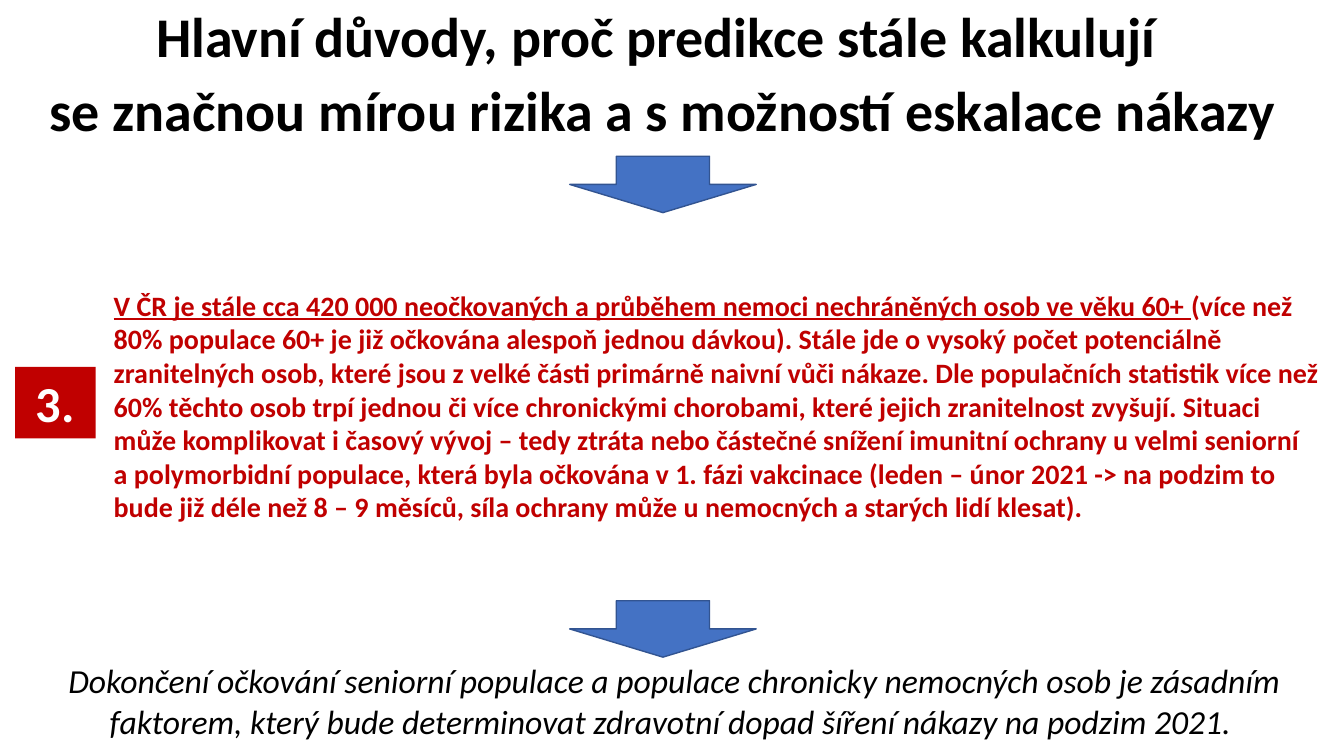
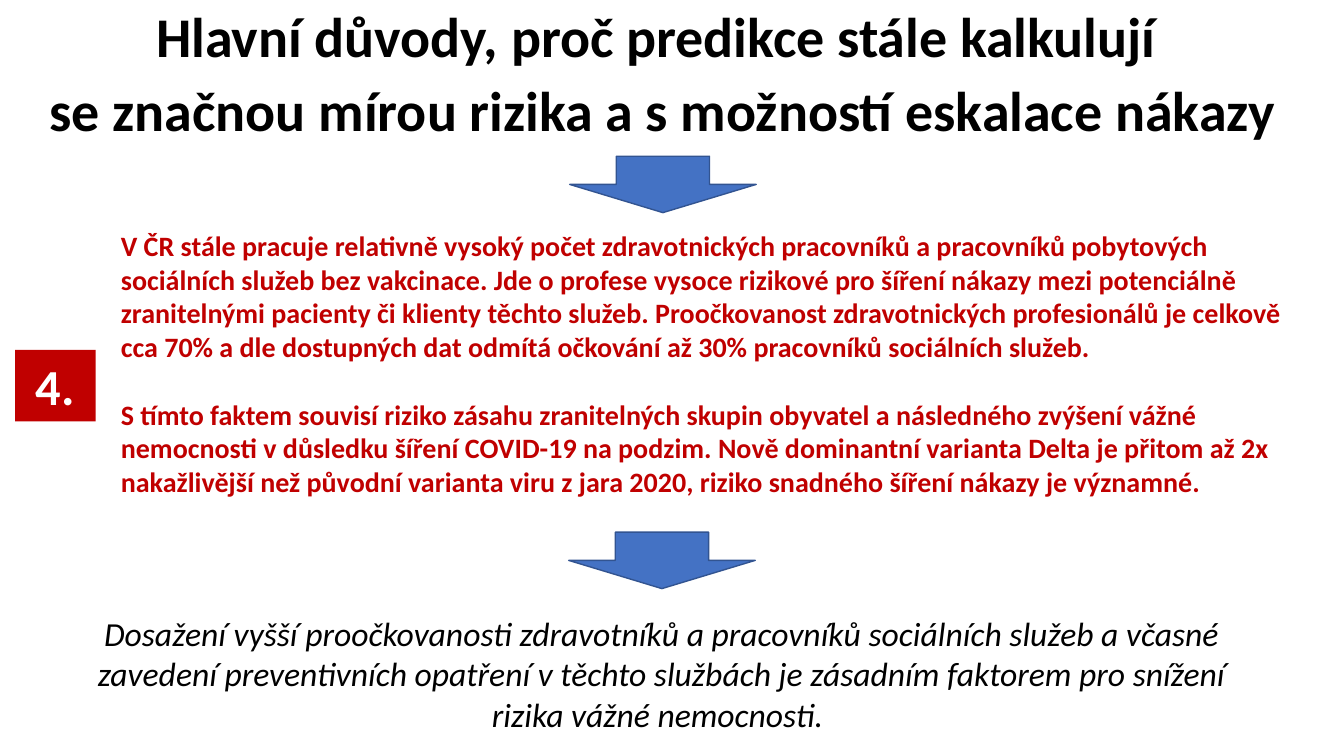
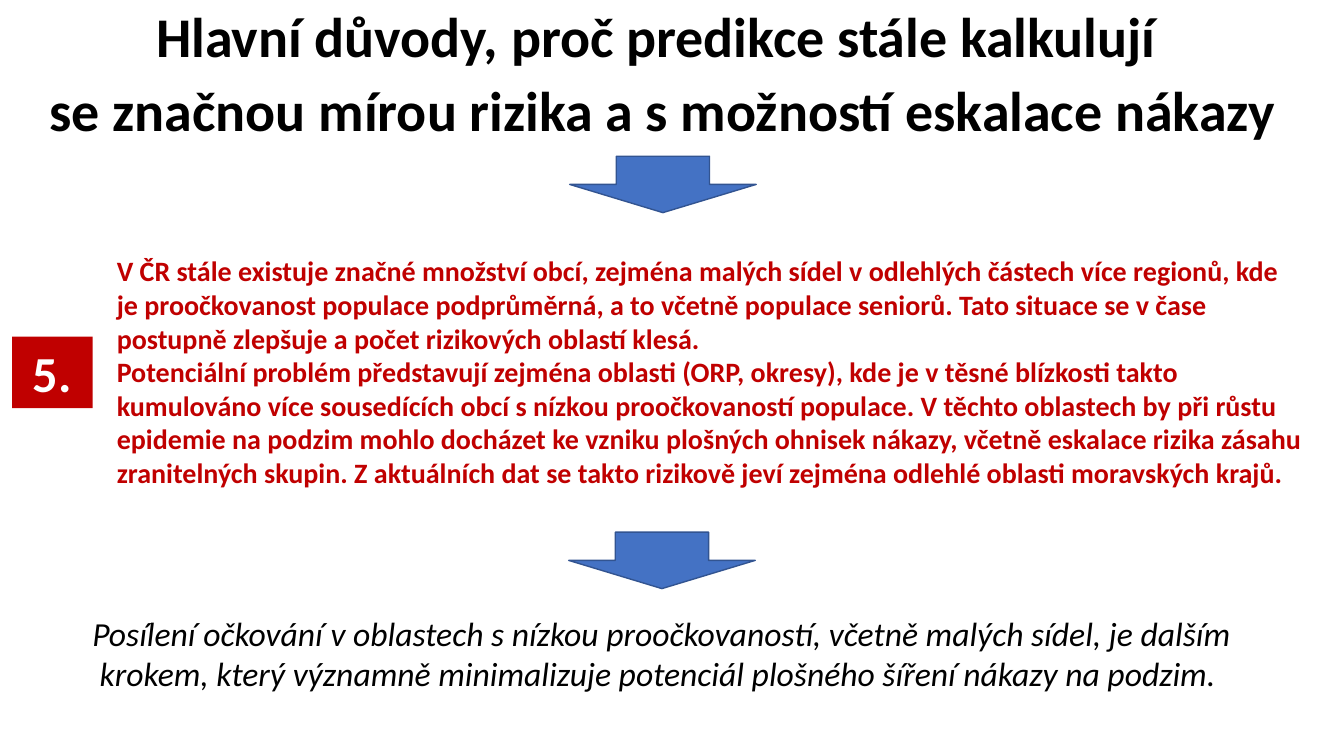
"""Three slides on the reasons why epidemic predictions still reckon with risk."""
from pptx import Presentation
from pptx.dml.color import RGBColor
from pptx.enum import shapes, text
from pptx.util import Inches, Pt

FONT = "Calibri"
RED = RGBColor(0xC0, 0x00, 0x00)
BLUE = RGBColor(0x44, 0x72, 0xC4)
DARK_BLUE = RGBColor(0x32, 0x54, 0x91)
BLACK = RGBColor(0x00, 0x00, 0x00)
WHITE = RGBColor(0xFF, 0xFF, 0xFF)

HEADING = [
    "Hlavní důvody, proč predikce stále kalkulují ",
    "se značnou mírou rizika a s možností eskalace nákazy",
]

REASONS = [
    {
        "number": "3.",
        "badge_at": (0.15, 3.64),
        "underlined": "V ČR je stále cca 420 000 neočkovaných a průběhem nemoci nechráněných osob ve věku 60+ ",
        "body": [
            "(více než 80% populace 60+ je již očkována alespoň jednou dávkou). Stále jde o vysoký počet "
            "potenciálně zranitelných osob, které jsou z velké části primárně naivní vůči nákaze. Dle "
            "populačních statistik více než 60% těchto osob trpí jednou či více chronickými chorobami, "
            "které jejich zranitelnost zvyšují. Situaci může komplikovat i časový vývoj – tedy ztráta nebo "
            "částečné snížení imunitní ochrany u velmi seniorní a polymorbidní populace, která byla "
            "očkována v 1. fázi vakcinace (leden – únor 2021 -> na podzim to bude již déle než 8 – 9 "
            "měsíců, síla ochrany může u nemocných a starých lidí klesat).",
        ],
        "body_at": (1.03, 2.81, 12.16, 2.46),
        "gap": 0,
        "arrow_at": (5.65, 5.96),
        "conclusion": "Dokončení očkování seniorní populace a populace chronicky nemocných osob je zásadním "
        "faktorem, který bude determinovat zdravotní dopad šíření nákazy na podzim 2021. ",
        "conclusion_at": (0.44, 6.5, 12.49, 0.91),
    },
    {
        "number": "4.",
        "badge_at": (0.15, 3.47),
        "underlined": "",
        "body": [
            "V ČR stále pracuje relativně vysoký počet zdravotnických pracovníků a pracovníků pobytových "
            "sociálních služeb bez vakcinace. Jde o profese vysoce rizikové pro šíření nákazy mezi "
            "potenciálně zranitelnými pacienty či klienty těchto služeb. Proočkovanost zdravotnických "
            "profesionálů je celkově cca 70% a dle dostupných dat odmítá očkování až 30% pracovníků "
            "sociálních služeb.",
            "S tímto faktem souvisí riziko zásahu zranitelných skupin obyvatel a následného zvýšení vážné "
            "nemocnosti v důsledku šíření COVID-19 na podzim. Nově dominantní varianta Delta je přitom až "
            "2x nakažlivější než původní varianta viru z jara 2020, riziko snadného šíření nákazy je "
            "významné.",
        ],
        "body_at": (1.1, 2.22, 11.99, 2.79),
        "gap": 24.4,
        "arrow_at": (5.64, 5.28),
        "conclusion": "Dosažení vyšší proočkovanosti zdravotníků a pracovníků sociálních služeb a včasné "
        "zavedení preventivních opatření v těchto službách je zásadním faktorem pro snížení rizika vážné "
        "nemocnosti. ",
        "conclusion_at": (0.52, 6.03, 12.08, 1.31),
    },
    {
        "number": "5.",
        "badge_at": (0.12, 3.34),
        "underlined": "",
        "body": [
            "V ČR stále existuje značné množství obcí, zejména malých sídel v odlehlých částech více "
            "regionů, kde je proočkovanost populace podprůměrná, a to včetně populace seniorů. Tato situace "
            "se v čase postupně zlepšuje a počet rizikových oblastí klesá.",
            "Potenciální problém představují zejména oblasti (ORP, okresy), kde je v těsné blízkosti takto "
            "kumulováno více sousedících obcí s nízkou proočkovaností populace. V těchto oblastech by při "
            "růstu epidemie na podzim mohlo docházet ke vzniku plošných ohnisek nákazy, včetně eskalace "
            "rizika zásahu zranitelných skupin. Z aktuálních dat se takto rizikově jeví zejména odlehlé "
            "oblasti moravských krajů.",
        ],
        "body_at": (1.06, 2.47, 11.99, 2.46),
        "gap": 0,
        "arrow_at": (5.64, 5.28),
        "conclusion": "Posílení očkování v oblastech s nízkou proočkovaností, včetně malých sídel, je dalším "
        "krokem, který významně minimalizuje potenciál plošného šíření nákazy na podzim. ",
        "conclusion_at": (0.52, 6.03, 12.08, 0.91),
    },
]


def style(paragraph, size, color, bold=False, italic=False, align=text.PP_ALIGN.CENTER):
    paragraph.alignment = align
    font = paragraph.font
    font.name, font.size, font.bold, font.italic = FONT, Pt(size), bold, italic
    font.color.rgb = color


def add_filled(slide, preset, left, top, width, height, fill):
    shape = slide.shapes.add_shape(preset, Inches(left), Inches(top), Inches(width), Inches(height))
    shape.shadow.inherit = False
    shape.fill.solid()
    shape.fill.fore_color.rgb = fill
    return shape


prs = Presentation()
prs.slide_width, prs.slide_height = Inches(13.33), Inches(7.5)

for reason in REASONS:
    slide = prs.slides.add_slide(prs.slide_layouts[5])

    title = slide.shapes.title
    title.left, title.top, title.width, title.height = map(Inches, (0.22, 0.04, 12.7, 1.45))
    heading = title.text_frame
    heading.text = "\n".join(HEADING)
    heading.auto_size = text.MSO_AUTO_SIZE.NONE
    heading.vertical_anchor = text.MSO_ANCHOR.TOP
    for line in heading.paragraphs:
        style(line, 40, BLACK, bold=True)
        line.line_spacing = 0.9
    heading.paragraphs[1].space_before = Pt(10)

    body = slide.shapes.add_textbox(*map(Inches, reason["body_at"])).text_frame
    body.word_wrap = True
    body.text = "\n".join(reason["body"])
    if reason["underlined"]:
        body.text = reason["underlined"]
        body.paragraphs[0].runs[0].font.underline = True
        body.paragraphs[0].add_run().text = reason["body"][0]
    for paragraph in body.paragraphs:
        style(paragraph, 20, RED, bold=True, align=text.PP_ALIGN.LEFT)
    for paragraph in body.paragraphs[1:]:
        paragraph.space_before = Pt(reason["gap"])

    badge = add_filled(slide, shapes.MSO_SHAPE.RECTANGLE, *reason["badge_at"], 0.8, 0.71, RED)
    badge.line.fill.background()
    badge.text_frame.text = reason["number"]
    style(badge.text_frame.paragraphs[0], 36, WHITE, bold=True)

    for left, top in ((5.65, 1.55), reason["arrow_at"]):
        arrow = add_filled(slide, shapes.MSO_SHAPE.DOWN_ARROW, left, top, 1.85, 0.56, BLUE)
        arrow.line.color.rgb = DARK_BLUE
        arrow.line.width = Pt(1)

    conclusion = slide.shapes.add_textbox(*map(Inches, reason["conclusion_at"])).text_frame
    conclusion.word_wrap = True
    conclusion.text = reason["conclusion"]
    style(conclusion.paragraphs[0], 24, BLACK, italic=True)

prs.save("out.pptx")
